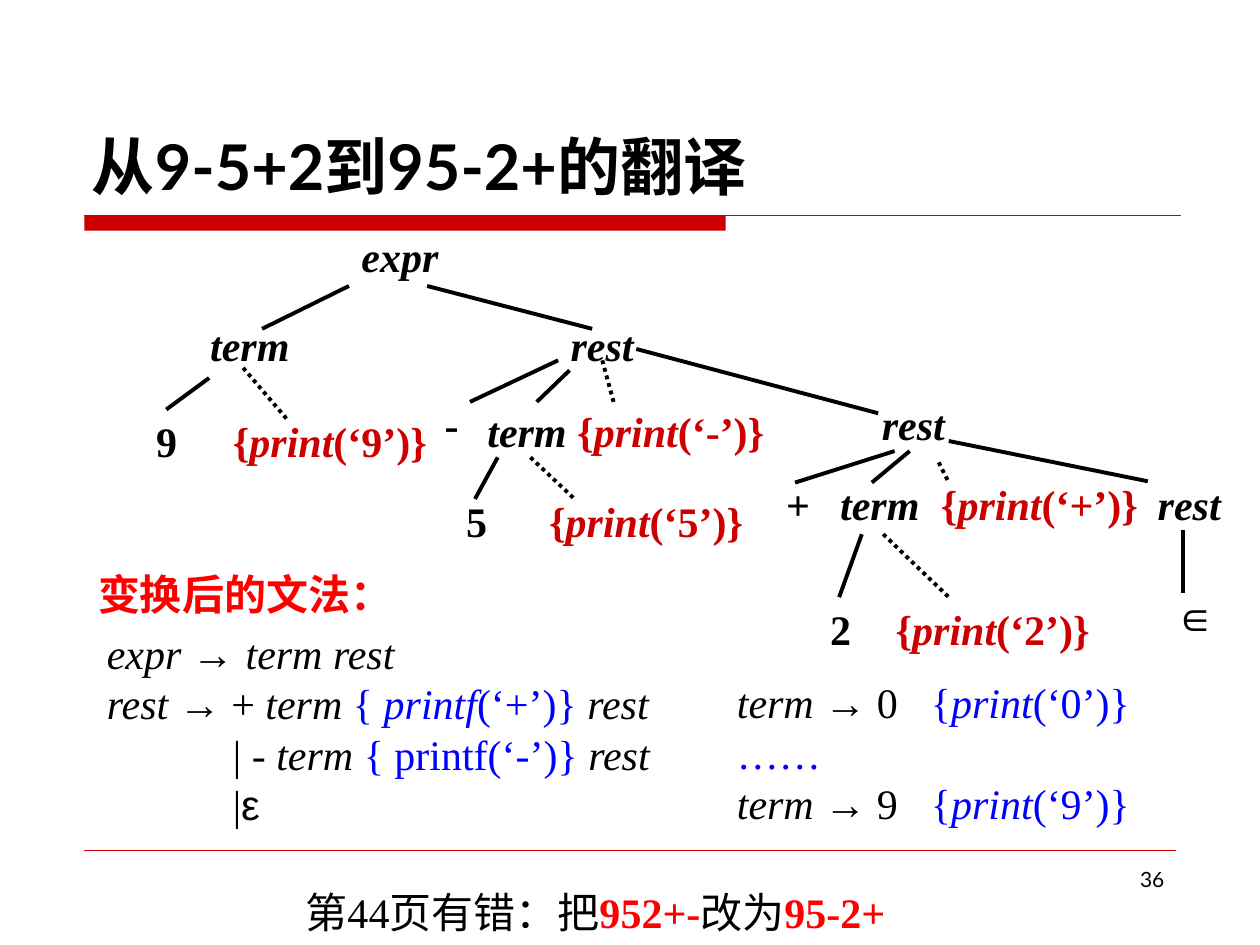
"""Slide: syntax tree that translates 9-5+2 into 95-2+, with its grammar."""
from lxml import etree
from pptx import Presentation
from pptx.dml.color import RGBColor
from pptx.enum.dml import MSO_LINE
from pptx.enum.shapes import MSO_CONNECTOR, MSO_SHAPE
from pptx.enum.text import MSO_ANCHOR, MSO_AUTO_SIZE, PP_ALIGN
from pptx.oxml.ns import qn
from pptx.util import Inches, Pt

BLACK = RGBColor(0, 0, 0)
CRIMSON = RGBColor(0xCC, 0, 0)
RED = RGBColor(0xFF, 0, 0)
BLUE = RGBColor(0, 0, 0xFF)
SERIF, SANS, LATO = "Times New Roman", "Arial", "Lato"
LEFT, CENTER, RIGHT = PP_ALIGN.LEFT, PP_ALIGN.CENTER, PP_ALIGN.RIGHT
TOP, BOTTOM = MSO_ANCHOR.TOP, MSO_ANCHOR.BOTTOM
FIT, FIXED = MSO_AUTO_SIZE.SHAPE_TO_FIT_TEXT, MSO_AUTO_SIZE.NONE
STRAIGHT = MSO_CONNECTOR.STRAIGHT
DOTTED = MSO_LINE.ROUND_DOT


def action(symbol, color=CRIMSON, style="b", name="print", end="}"):
    return [("{", style, color), (name, style + "i", color),
            (f"(‘{symbol}’){end}", style, color)]


def node(name):
    return [(name, "bi")]


def leaf(symbol, font=SERIF):
    return [(symbol, "b", BLACK, font)]


def digit_rule(digit):
    return [("term ", "i"), ("→", "", BLACK, SANS), (f" {digit}\t",),
            *action(digit, BLUE, "")]


TREE = [
    (2.77, 1.78, 1.31, node("expr")),
    (1.57, 2.49, 1.31, node("term")),
    (4.43, 2.49, 1.31, node("rest")),
    (1.14, 3.25, 0.52, leaf("9")),
    (1.75, 3.25, 2.53, action("9")),
    (3.43, 3.11, 0.52, leaf("-")),
    (3.77, 3.17, 2.53, node("term ") + action("-")),
    (6.9, 3.11, 1.31, node("rest")),
    (3.6, 3.88, 0.52, leaf("5")),
    (4.26, 3.88, 2.53, action("5")),
    (6.14, 3.75, 0.52, leaf("+")),
    (6.57, 3.75, 3.24, node("term\t") + action("+") + node("\trest")),
    (6.49, 4.74, 0.52, leaf("2")),
    (7.01, 4.74, 2.01, action("2")),
    (9.22, 4.63, 0.52, leaf("∈", SANS)),
]
BRANCHES = [
    (2.77, 2.27, 2.08, 2.61), (3.39, 2.27, 4.7, 2.61), (1.66, 3, 1.32, 3.25),
    (4.43, 2.86, 3.73, 3.19), (4.52, 2.94, 4.26, 3.19), (5.05, 2.77, 6.97, 3.28),
    (3.95, 3.63, 3.77, 3.96), (7.1, 3.58, 6.31, 3.83), (7.22, 3.58, 6.92, 3.83),
    (7.53, 3.5, 9.11, 3.82), (6.84, 4.24, 6.66, 4.74), (9.39, 4.21, 9.39, 4.71),
]
ACTION_LINKS = [
    (1.93, 2.92, 2.28, 3.33), (4.78, 2.86, 4.87, 3.19), (4.21, 3.63, 4.56, 3.96),
    (7.45, 3.67, 7.53, 3.83), (7.01, 4.24, 7.53, 4.74),
]
EXPR_RULES = [
    [("expr ", "i"), ("→ ", "", BLACK, SANS), ("term rest", "i")],
    [("rest ", "i"), ("→", "", BLACK, SANS), (" + ",), ("term ", "i"),
     ("{ ", "", BLUE), *action("+", BLUE, "", "printf", "} ")[1:], ("rest", "i")],
    [("\t| - ",), ("term ", "i"), ("{ printf(‘-’)} ", "", BLUE), ("rest", "i")],
    [("\t|",), ("ε", "", BLACK, SANS)],
]
TERM_RULES = [digit_rule(0), [("……", "", BLUE)], digit_rule(9)]
TITLE = [("从9-5+2到95-2+的翻译", "b", BLACK, LATO)]
HEADING = [("变换后的文法：", "b", RED)]
ERRATUM = [("第44页有错：把",), ("952+-", "b", RED), ("改为",), ("95-2+", "b", RED)]
NUMBER = [("36", "", BLACK, LATO)]


def add_run(p, size, text, style="", color=BLACK, font=SERIF):
    r = p.add_run()
    r.text = text
    r.font.name, r.font.size = font, Pt(size)
    r.font.bold, r.font.italic = "b" in style, "i" in style
    r.font.color.rgb = color


def add_text(s, x, y, w, h, paragraphs, size=24, align=LEFT, anchor=TOP,
             tabs=(), wrap=True, fit=FIT):
    tf = s.shapes.add_textbox(Inches(x), Inches(y), Inches(w), Inches(h)).text_frame
    tf.word_wrap, tf.auto_size, tf.vertical_anchor = wrap, fit, anchor
    for i, runs in enumerate(paragraphs):
        p = tf.add_paragraph() if i else tf.paragraphs[0]
        p.alignment = align
        if tabs:
            stops = etree.SubElement(p._p.get_or_add_pPr(), qn("a:tabLst"))
            for stop in tabs:
                etree.SubElement(stops, qn("a:tab"), pos=str(Inches(stop)), algn="l")
        for run in runs:
            add_run(p, size, *run)


def add_line(s, ends, color=BLACK, width=2.25, dash=None):
    line = s.shapes.add_connector(STRAIGHT, *map(Inches, ends))
    line.line.color.rgb = color
    line.line.width = Pt(width)
    if dash:
        line.line.dash_style = dash
    etree.SubElement(line._element.spPr, qn("a:effectLst"))


def main():
    prs = Presentation()
    prs.slide_width, prs.slide_height = Inches(10), Inches(7.5)
    s = prs.slides.add_slide(prs.slide_layouts[6])

    bar = s.shapes.add_shape(MSO_SHAPE.RECTANGLE, Inches(0.67), Inches(1.71),
                             Inches(5.09), Inches(0.12))
    bar.shadow.inherit = False
    bar.fill.solid()
    bar.fill.fore_color.rgb = CRIMSON
    bar.line.fill.background()
    add_line(s, (0.67, 1.71, 9.37, 1.71), CRIMSON, 0.75)
    add_line(s, (0.67, 6.75, 9.33, 6.75), CRIMSON, 0.25)

    add_text(s, 7.17, 6.83, 2.17, 0.52, [NUMBER], size=12, align=RIGHT, fit=FIXED)
    add_text(s, 0.63, 0.33, 8.75, 1.33, [TITLE], size=36, anchor=BOTTOM, fit=FIXED)
    for x, y, w, runs in TREE:
        has_tab = any("\t" in run[0] for run in runs)
        add_text(s, x, y, w, 0.5, [runs], tabs=(0.8, 2.52) if has_tab else ())
    for ends in BRANCHES:
        add_line(s, ends)
    for ends in ACTION_LINKS:
        add_line(s, ends, dash=DOTTED)
    add_text(s, 0.75, 4.93, 4.76, 1.7, EXPR_RULES, anchor=BOTTOM, tabs=(1,))
    add_text(s, 5.75, 5.32, 3.62, 1.3, TERM_RULES, anchor=BOTTOM, tabs=(1.54,))
    add_text(s, 0.68, 4.46, 2.53, 0.5, [HEADING], align=CENTER, wrap=False)
    add_text(s, 0, 6.99, 9.45, 0.5, [ERRATUM], align=CENTER)
    prs.save("out.pptx")


if __name__ == "__main__":
    main()
